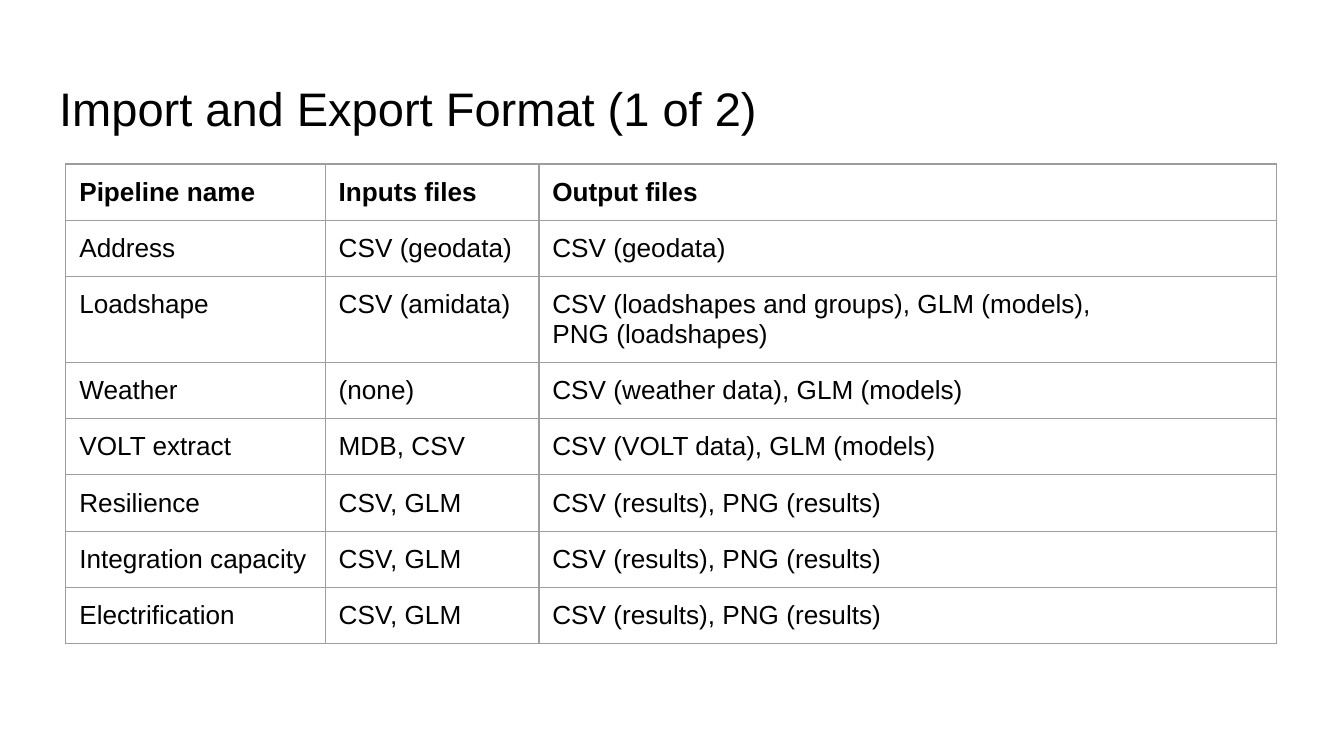
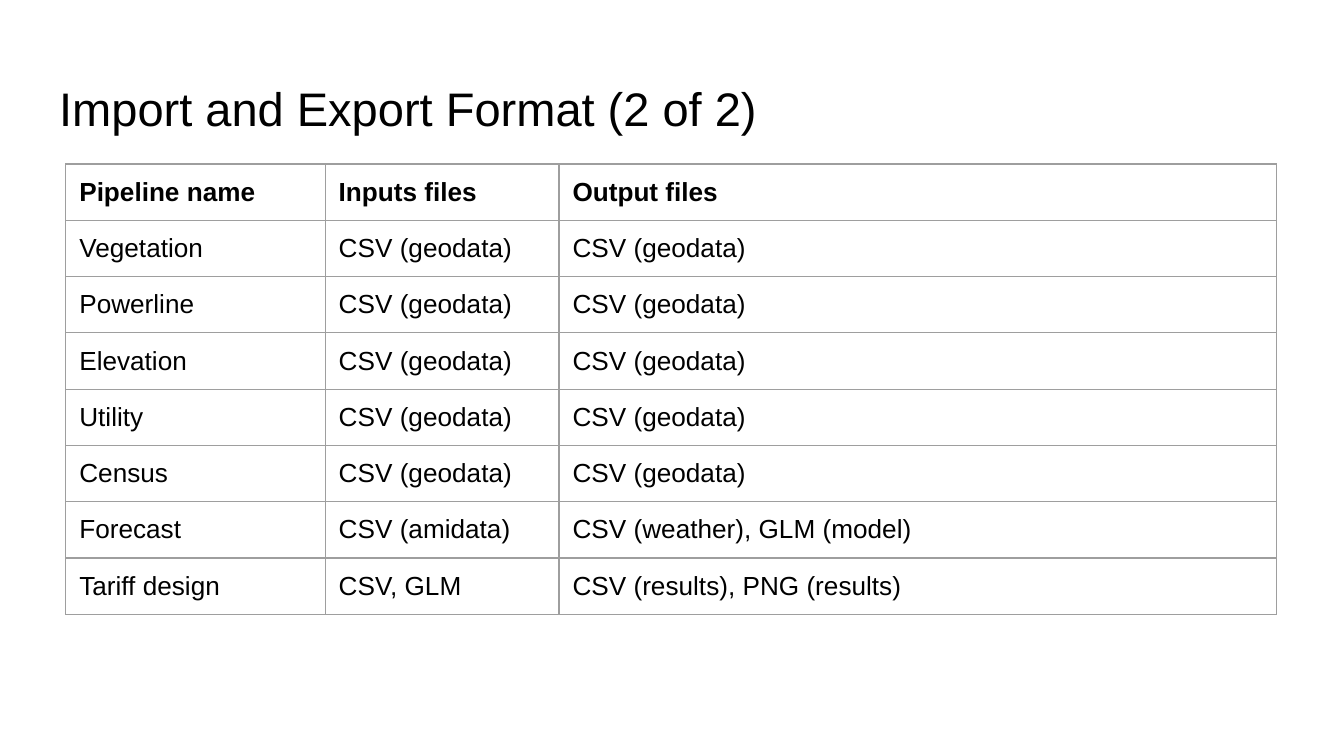
"""Builds two slides that list the import and export formats of each pipeline."""
from lxml import etree
from pptx import Presentation
from pptx import util as u
from pptx.dml import color
from pptx.enum import text
from pptx.oxml import ns

HEADER = ("Pipeline name", "Inputs files", "Output files")
GEO = "CSV (geodata)"
MODEL = "CSV, GLM"
RESULTS = "CSV (results), PNG (results)"
PAGES = [
    {"inputs_width": 1.59, "rows": [
        ("Address", GEO, GEO),
        ("Loadshape", "CSV (amidata)",
         "CSV (loadshapes and groups), GLM (models), \vPNG (loadshapes)"),
        ("Weather", "(none)", "CSV (weather data), GLM (models)"),
        ("VOLT extract", "MDB, CSV", "CSV (VOLT data), GLM (models)"),
        ("Resilience", MODEL, RESULTS),
        ("Integration capacity", MODEL, RESULTS),
        ("Electrification", MODEL, RESULTS)]},
    {"inputs_width": 1.74, "rows": [
        ("Vegetation", GEO, GEO),
        ("Powerline", GEO, GEO),
        ("Elevation", GEO, GEO),
        ("Utility", GEO, GEO),
        ("Census", GEO, GEO),
        ("Forecast", "CSV (amidata)", "CSV (weather), GLM (model)"),
        ("Tariff design", MODEL, RESULTS)]},
]

WIDTH = 10
HEIGHT = WIDTH * 9 / 16
TITLE_BOX = {"left": 0.34, "top": 0.49, "width": 9.32, "height": 0.63}
TABLE_LEFT, TABLE_TOP, TABLE_WIDTH = 0.49, 1.22, 9.01
NAME_WIDTH, ROW_HEIGHT = 1.93, 0.38
INSETS = {f"margin_{side}": u.Inches(0.1) for side in ("left", "top", "right", "bottom")}
INK, RULE, RULE_WIDTH = "000000", "9E9E9E", 0.75


def assign(target, values):
    """Set every attribute named in values."""
    for name, value in values.items():
        setattr(target, name, value)


def style(p, size, bold=False):
    """Format the runs of a paragraph."""
    for r in p.runs:
        assign(r.font, {"name": "Arial", "size": u.Pt(size), "bold": bold})
        r.font.color.rgb = color.RGBColor.from_string(INK)


def add_borders(cell):
    """Draw the thin rule on all four sides of a cell."""
    props = cell._tc.get_or_add_tcPr()
    for i, side in enumerate(("lnL", "lnR", "lnT", "lnB")):
        line = etree.Element(ns.qn(f"a:{side}"), w=str(u.Pt(RULE_WIDTH)))
        fill = etree.SubElement(line, ns.qn("a:solidFill"))
        etree.SubElement(fill, ns.qn("a:srgbClr"), val=RULE)
        props.insert(i, line)


def add_title(slide, words):
    """Place and format the slide title."""
    sp = slide.shapes.title
    assign(sp, {name: u.Inches(value) for name, value in TITLE_BOX.items()})
    tf = sp.text_frame
    tf.text = words
    assign(tf, {**INSETS, "word_wrap": True, "auto_size": text.MSO_AUTO_SIZE.NONE,
                "vertical_anchor": text.MSO_ANCHOR.MIDDLE})
    p = tf.paragraphs[0]
    assign(p, {"alignment": text.PP_ALIGN.LEFT, "line_spacing": 1.0})
    style(p, 25.2)


def add_grid(slide, rows, inputs_width):
    """Add the ruled table of pipelines."""
    widths = (NAME_WIDTH, inputs_width, TABLE_WIDTH - NAME_WIDTH - inputs_width)
    frame = slide.shapes.add_table(
        len(rows), len(widths), u.Inches(TABLE_LEFT), u.Inches(TABLE_TOP),
        u.Inches(TABLE_WIDTH), u.Inches(ROW_HEIGHT * len(rows)))
    table = frame.table
    assign(table, {"first_row": False, "horz_banding": False})
    for column, width in zip(table.columns, widths):
        column.width = u.Inches(width)
    for i, row in enumerate(rows):
        for j, words in enumerate(row):
            cell = table.cell(i, j)
            cell.text = words
            assign(cell, {**INSETS, "vertical_anchor": text.MSO_ANCHOR.TOP})
            cell.fill.background()
            add_borders(cell)
            style(cell.text_frame.paragraphs[0], 14, bold=i == 0)


prs = Presentation()
assign(prs, {"slide_width": u.Inches(WIDTH), "slide_height": u.Inches(HEIGHT)})
for number, page in enumerate(PAGES, 1):
    s = prs.slides.add_slide(prs.slide_layouts.get_by_name("Title Only"))
    add_title(s, f"Import and Export Format ({number} of {len(PAGES)})")
    add_grid(s, [HEADER, *page["rows"]], page["inputs_width"])
prs.save("out.pptx")
